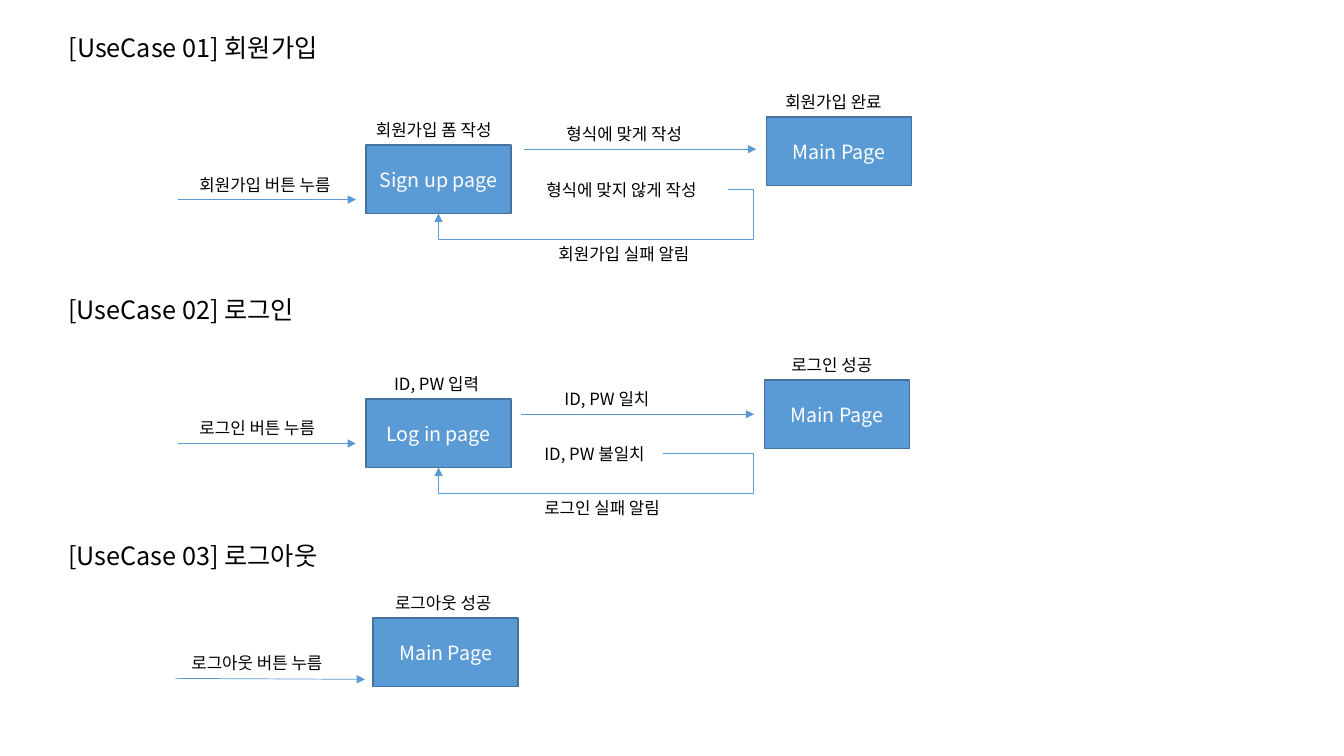
from lxml import etree
from pptx import Presentation
from pptx.dml.color import RGBColor
from pptx.enum import shapes, text
from pptx.oxml import ns
from pptx.util import Inches, Pt

BLUE = RGBColor(0x5B, 0x9B, 0xD5)
BORDER = RGBColor(0x43, 0x73, 0x9E)
BLACK = RGBColor(0x00, 0x00, 0x00)
WHITE = RGBColor(0xFF, 0xFF, 0xFF)
FONT = "Noto Sans CJK KR"
PAGE_W, PAGE_H = 1.44, 0.68
LABEL_H, HEADING_H = 0.3, 0.4
RETURN_X, RETURN_DROP = 7.47, 0.25


def apply(target, values):
    for name, value in values.items():
        setattr(target, name, value)


def write(shape, wording, size, color, align, frame_format):
    frame = shape.text_frame
    apply(frame, frame_format)
    paragraph = frame.paragraphs[0]
    paragraph.alignment = align
    run = paragraph.add_run()
    run.text = wording
    apply(run.font, {"size": Pt(size), "name": FONT, "bold": False})
    run.font.color.rgb = color
    # Hangul takes the East Asian typeface
    etree.SubElement(run._r.rPr, ns.qn("a:ea"), typeface=FONT)


def write_label(shape, wording, size):
    write(shape, wording, size, BLACK, text.PP_ALIGN.LEFT, {
        "word_wrap": False,
        "auto_size": text.MSO_AUTO_SIZE.SHAPE_TO_FIT_TEXT,
        "vertical_anchor": text.MSO_ANCHOR.TOP,
    })


def add_label(slide, wording, x, y, width, height=LABEL_H, size=12):
    label = slide.shapes.add_textbox(
        Inches(x), Inches(y), Inches(width), Inches(height))
    write_label(label, wording, size)


def add_heading(slide, wording, y, width):
    add_label(slide, wording, 0.58, y, width, HEADING_H, 18)


def fill_title(slide, wording, y, width):
    title = slide.shapes.title
    apply(title, {"left": Inches(0.58), "top": Inches(y),
                  "width": Inches(width), "height": Inches(HEADING_H)})
    write_label(title, wording, 18)


def add_page(slide, name, x, y, state, state_x, state_width):
    """Draw a page box with its state written above it."""
    page = slide.shapes.add_shape(
        shapes.MSO_SHAPE.RECTANGLE,
        Inches(x), Inches(y), Inches(PAGE_W), Inches(PAGE_H))
    page.shadow.inherit = False
    page.fill.solid()
    page.fill.fore_color.rgb = BLUE
    page.line.color.rgb = BORDER
    page.line.width = Pt(1)
    write(page, name, 14, WHITE, text.PP_ALIGN.CENTER,
          {"word_wrap": True, "vertical_anchor": text.MSO_ANCHOR.MIDDLE})
    add_label(slide, state, state_x, y - LABEL_H, state_width)
    return page


def add_link(slide, kind, start, end):
    link = slide.shapes.add_connector(
        kind, *(Inches(value) for value in (*start, *end)))
    link.line.color.rgb = BLUE
    link.line.width = Pt(0.5)
    etree.SubElement(link.line._get_or_add_ln(), ns.qn("a:tailEnd"),
                     type="triangle")
    etree.SubElement(link._element.spPr, ns.qn("a:effectLst"))
    return link


def add_step(slide, wording, label_x, label_width, start, end):
    """Draw an arrow with its condition written above it."""
    add_link(slide, shapes.MSO_CONNECTOR.STRAIGHT, start, end)
    add_label(slide, wording, label_x, start[1] - LABEL_H, label_width)


def add_failure(slide, page, failure, failure_x, failure_width, y,
                notice, notice_x, notice_width):
    """Lead a failed attempt back to the bottom of its page."""
    add_label(slide, failure, failure_x, y - LABEL_H / 2, failure_width)
    start_x = failure_x + failure_width
    end_x = (page.left + page.width / 2) / Inches(1)
    end_y = (page.top + page.height) / Inches(1)
    link = add_link(slide, shapes.MSO_CONNECTOR.ELBOW,
                    (start_x, y), (end_x, end_y))
    link.end_connect(page, 2)

    # Route right, down, left and up into the page
    return_y = end_y + RETURN_DROP
    bends = {"adj1": (start_x - RETURN_X) / (start_x - end_x),
             "adj2": (return_y - y) / (end_y - y)}
    geometry = link._element.spPr.find(ns.qn("a:prstGeom"))
    geometry.set("prst", "bentConnector4")
    guides = geometry.find(ns.qn("a:avLst"))
    for name, ratio in bends.items():
        etree.SubElement(guides, ns.qn("a:gd"), name=name,
                         fmla=f"val {round(ratio * 100000)}")
    add_label(slide, notice, notice_x, return_y, notice_width)


def main():
    deck = Presentation()
    deck.slide_width, deck.slide_height = Inches(13.33), Inches(7.5)
    slide = deck.slides.add_slide(deck.slide_layouts[5])

    # Sign up
    fill_title(slide, "[UseCase 01] 회원가입", 0.27, 2.76)
    add_step(slide, "회원가입 버튼 누름", 1.88, 1.67, (1.77, 1.98), (3.53, 1.98))
    sign_up = add_page(slide, "Sign up page", 3.63, 1.44,
                       "회원가입 폼 작성", 3.63, 1.5)
    add_step(slide, "형식에 맞게 작성", 5.52, 1.5, (5.2, 1.48), (7.5, 1.48))
    add_page(slide, "Main Page", 7.6, 1.16, "회원가입 완료", 7.69, 1.27)
    add_failure(slide, sign_up, "형식에 맞지 않게 작성", 5.32, 1.9, 1.88,
                "회원가입 실패 알림", 5.44, 1.67)

    # Log in
    add_heading(slide, "[UseCase 02] 로그인", 2.87, 2.55)
    add_step(slide, "로그인 버튼 누름", 1.88, 1.5, (1.77, 4.4), (3.53, 4.4))
    log_in = add_page(slide, "Log in page", 3.63, 3.96,
                      "ID, PW 입력", 3.81, 1.11)
    add_step(slide, "ID, PW 일치", 5.5, 1.11, (5.17, 4.11), (7.48, 4.11))
    add_page(slide, "Main Page", 7.58, 3.77, "로그인 성공", 7.75, 1.1)
    add_failure(slide, log_in, "ID, PW 불일치", 5.3, 1.28, 4.5,
                "로그인 실패 알림", 5.3, 1.5)

    # Log out
    add_heading(slide, "[UseCase 03] 로그아웃", 5.31, 2.76)
    add_step(slide, "로그아웃 버튼 누름", 1.8, 1.67, (1.74, 6.73), (3.62, 6.74))
    add_page(slide, "Main Page", 3.7, 6.13, "로그아웃 성공", 3.82, 1.27)

    deck.save("out.pptx")


if __name__ == "__main__":
    main()
